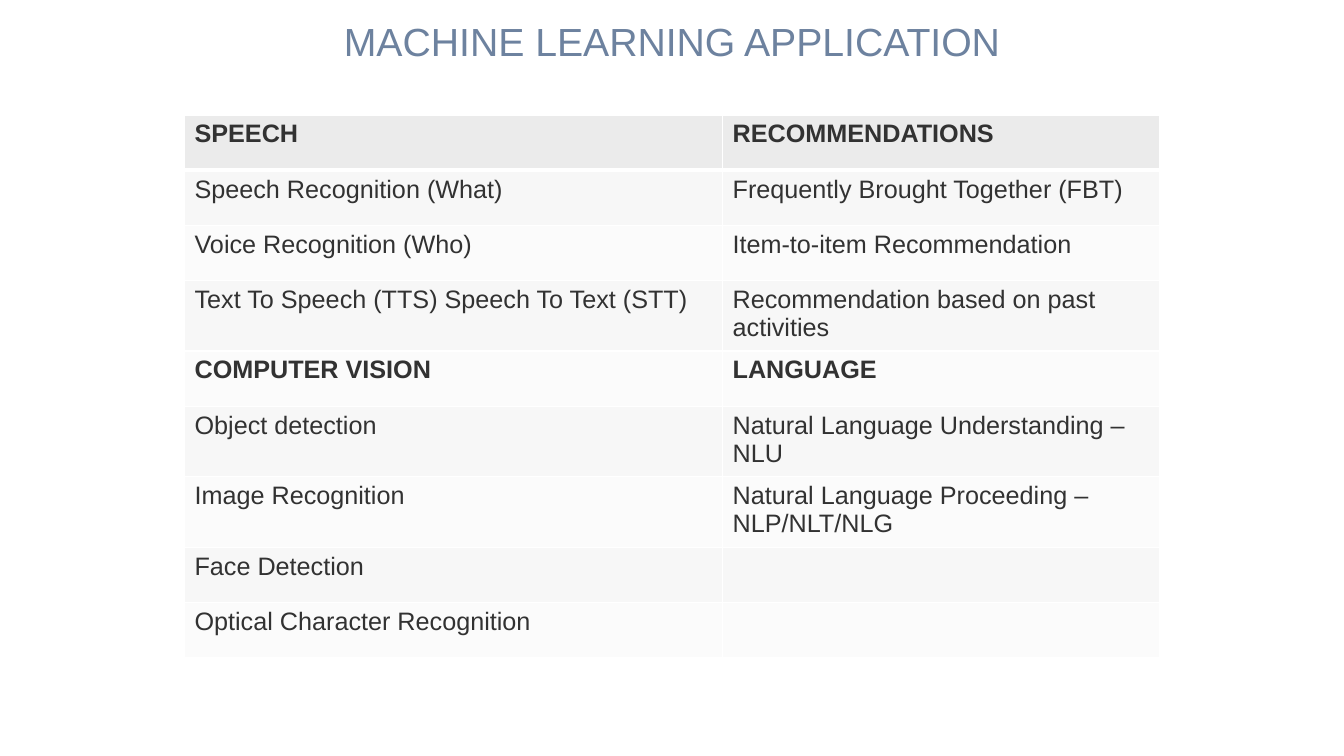
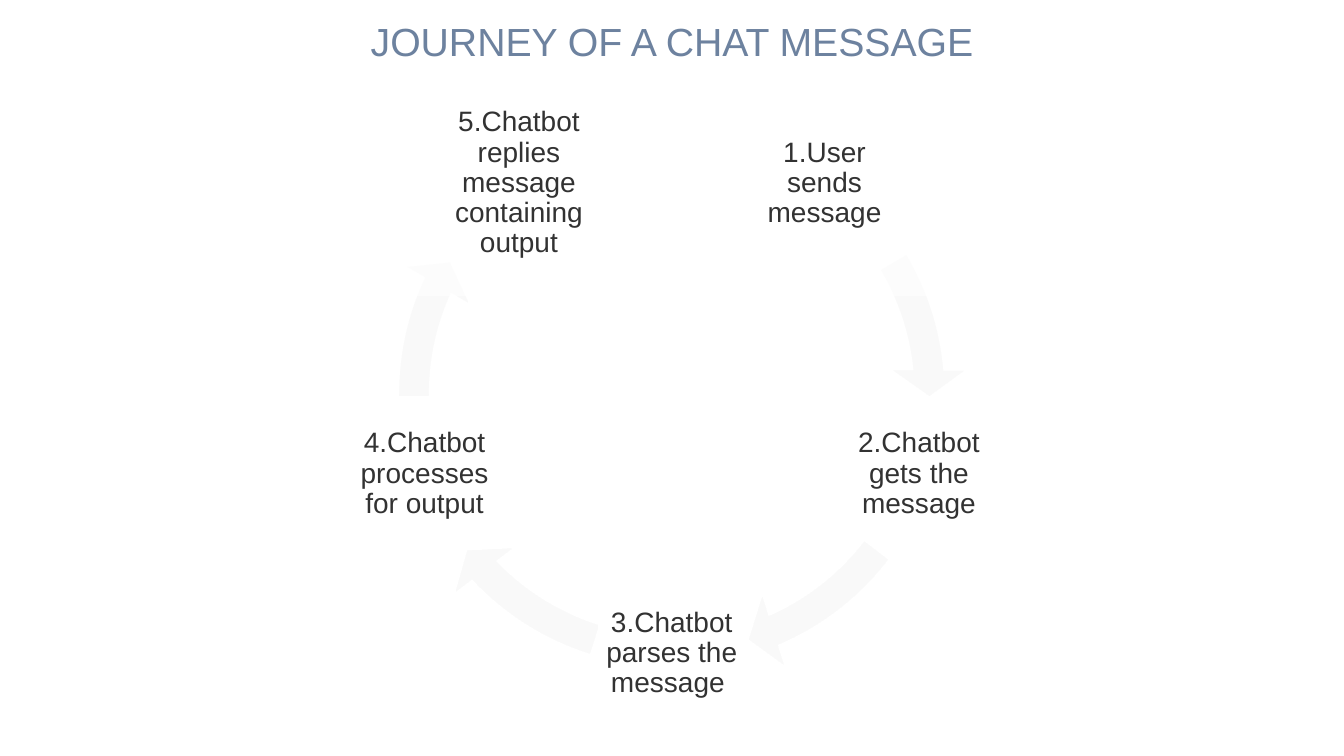
from copy import deepcopy
from math import cos, radians, sin

from lxml.etree import SubElement
from pptx import Presentation
from pptx.dml.color import RGBColor
from pptx.enum.shapes import MSO_SHAPE
from pptx.enum.text import MSO_ANCHOR, PP_ALIGN
from pptx.oxml import parse_xml
from pptx.oxml.ns import nsdecls, qn
from pptx.util import Cm, Pt

WHITE, INK, TITLE_BLUE = "FFFFFF", "323232", "6D829F"
HEADER_FILL, BAND_FILLS = "EBEBEB", ("F7F7F7", "FBFBFB")
ARROW_GRADIENT = ((0, WHITE), (0.5, "F9F9F9"), (1, "F8F8F8"))
TITLE_FONT = {"name": "Arial", "size": Pt(28), "bold": False}
STEP_FONT = {"name": "Arial", "size": Pt(20), "bold": False}
CELL_FONT = {"name": "Arial", "size": Pt(18), "bold": False}
TITLE_FRAME = {"word_wrap": True, "vertical_anchor": MSO_ANCHOR.MIDDLE}
STEP_FRAME = TITLE_FRAME | {
    f"margin_{side}": Cm(0.08) for side in ("left", "top", "right", "bottom")
}


def rgb(hex_code):
    return RGBColor.from_string(hex_code)


def add_label(slide, text, box, frame_format, font_format, color):
    frame = slide.shapes.add_textbox(*(Cm(length) for length in box)).text_frame
    for attribute, value in frame_format.items():
        setattr(frame, attribute, value)
    paragraph = frame.paragraphs[0]
    paragraph.text = text
    paragraph.alignment = PP_ALIGN.CENTER
    paragraph.line_spacing = 0.9
    for attribute, value in font_format.items():
        setattr(paragraph.font, attribute, value)
    paragraph.font.color.rgb = rgb(color)


deck = Presentation()
deck.slide_width, deck.slide_height = Cm(33.87), Cm(19.05)

slides = []
for title in ("MACHINE LEARNING APPLICATION", "JOURNEY OF A CHAT MESSAGE"):
    slide = deck.slides.add_slide(deck.slide_layouts[6])
    slide.background.fill.solid()
    slide.background.fill.fore_color.rgb = rgb(WHITE)
    add_label(slide, title, (2.33, 0.35, 29.21, 1.52), TITLE_FRAME, TITLE_FONT, TITLE_BLUE)
    slides.append(slide)
applications_slide, journey_slide = slides

APPLICATIONS = (
    ("SPEECH", "RECOMMENDATIONS"),
    ("Speech Recognition (What)", "Frequently Brought Together (FBT)"),
    ("Voice Recognition (Who)", "Item-to-item Recommendation"),
    ("Text To Speech (TTS) Speech To Text (STT)", "Recommendation based on past activities"),
    ("COMPUTER VISION", "LANGUAGE"),
    ("Object detection", "Natural Language Understanding – NLU"),
    ("Image Recognition", "Natural Language Proceeding – NLP/NLT/NLG"),
    ("Face Detection", ""),
    ("Optical Character Recognition", ""),
)
HEADING_ROWS = (0, 4)
COLUMN_WIDTHS = (13.56, 11.02)
ROW_HEIGHT = 1.39

applications = applications_slide.shapes.add_table(
    len(APPLICATIONS), len(COLUMN_WIDTHS), Cm(4.65), Cm(2.9),
    Cm(sum(COLUMN_WIDTHS)), Cm(ROW_HEIGHT * len(APPLICATIONS)),
).table
for column, width in zip(applications.columns, COLUMN_WIDTHS):
    column.width = Cm(width)

for row_index, entries in enumerate(APPLICATIONS):
    applications.rows[row_index].height = Cm(ROW_HEIGHT)
    row_fill = BAND_FILLS[(row_index - 1) % 2] if row_index else HEADER_FILL
    edges = {
        "lnL": 1,
        "lnR": 1,
        "lnT": 3 if row_index == 1 else 1,
        "lnB": 3 if row_index == 0 else 1,
    }
    for column_index, entry in enumerate(entries):
        cell = applications.cell(row_index, column_index)
        cell.fill.solid()
        cell.fill.fore_color.rgb = rgb(row_fill)
        paragraph = cell.text_frame.paragraphs[0]
        paragraph.text = entry
        for attribute, value in CELL_FONT.items():
            setattr(paragraph.font, attribute, value)
        paragraph.font.bold = row_index in HEADING_ROWS
        paragraph.font.color.rgb = rgb(INK)
        properties = cell._tc.get_or_add_tcPr()
        for position, (edge, points) in enumerate(edges.items()):
            properties.insert(position, parse_xml(
                f'<a:{edge} {nsdecls("a")} w="{Pt(points)}"><a:solidFill>'
                f'<a:srgbClr val="{WHITE}"/></a:solidFill></a:{edge}>'
            ))

JOURNEY = (
    ("1.User sends message", 212.93, 197.67),
    ("2.Chatbot gets the message", 40.14, 22.54),
    ("3.Chatbot parses the message ", 82.1, 64.5),
    ("4.Chatbot processes for output", 122.98, 107.71),
    ("5.Chatbot replies message containing output", 168.65, 151.99),
)
CENTER_X, CENTER_Y, RADIUS = 16.93, 9.92, 6.55
STEP_SIZE, RING_SIZE = 3.94, 14.76
ring_box = [
    Cm(length)
    for length in (CENTER_X - RING_SIZE / 2, CENTER_Y - RING_SIZE / 2, RING_SIZE, RING_SIZE)
]

for step_index, (step, arrow_end, arrow_start) in enumerate(JOURNEY):
    angle = radians(-54 + step_index * 360 / len(JOURNEY))
    step_box = (
        CENTER_X + RADIUS * cos(angle) - STEP_SIZE / 2,
        CENTER_Y + RADIUS * sin(angle) - STEP_SIZE / 2,
        STEP_SIZE,
        STEP_SIZE,
    )
    add_label(journey_slide, step, step_box, STEP_FRAME, STEP_FONT, INK)

    arrow = journey_slide.shapes.add_shape(MSO_SHAPE.CIRCULAR_ARROW, *ring_box)
    arrow.shadow.inherit = False
    arrow.line.fill.background()
    for index, value in enumerate((0.05, 3.36, arrow_end, arrow_start, 0.06)):
        arrow.adjustments[index] = value
    arrow.fill.gradient()
    arrow.fill.gradient_angle = 270
    stop_list = arrow._element.xpath(".//a:gsLst")[0]
    stop_list.append(deepcopy(stop_list[-1]))
    for stop, (position, color) in zip(arrow.fill.gradient_stops, ARROW_GRADIENT):
        stop.position = position
        stop.color.rgb = rgb(color)

deck.save("out.pptx")
